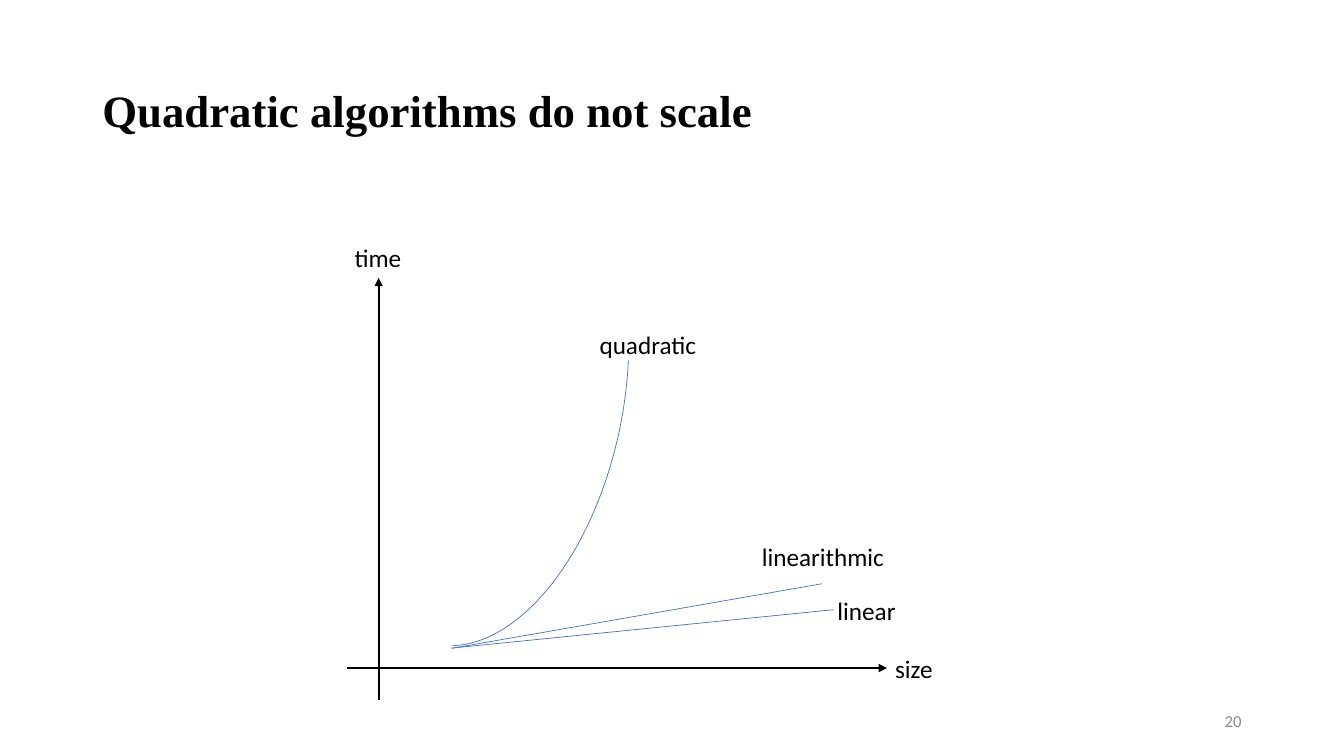
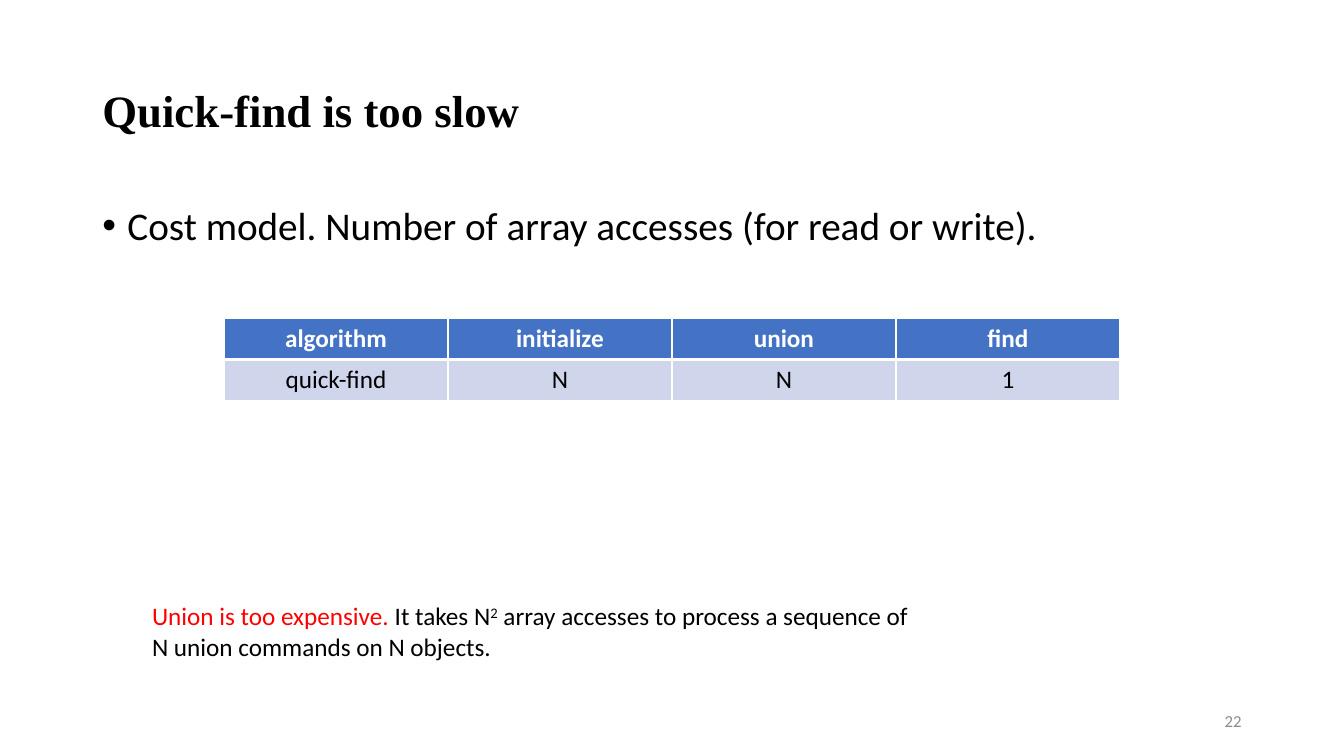
from dataclasses import dataclass

from lxml.etree import SubElement
from pptx import Presentation
from pptx.dml.color import RGBColor
from pptx.enum.shapes import MSO_CONNECTOR, MSO_SHAPE
from pptx.enum.text import MSO_ANCHOR, PP_ALIGN
from pptx.oxml.ns import qn
from pptx.util import Pt


@dataclass(frozen=True)
class Theme:
    black: RGBColor = RGBColor(0x00, 0x00, 0x00)
    white: RGBColor = RGBColor(0xFF, 0xFF, 0xFF)
    blue: RGBColor = RGBColor(0x44, 0x72, 0xC4)
    pale_blue: RGBColor = RGBColor(0xCF, 0xD5, 0xEA)
    red: RGBColor = RGBColor(0xFF, 0x00, 0x00)
    grey: RGBColor = RGBColor(0x8C, 0x8C, 0x8C)
    title_font: str = "Times New Roman"
    body_font: str = "Calibri"
    title_size: int = 32
    body_size: int = 28
    label_size: int = 18
    number_size: int = 12


theme = Theme()


def write(frame, text, size=theme.label_size, font=theme.body_font, color=theme.black,
          bold=False, align=PP_ALIGN.LEFT, anchor=MSO_ANCHOR.TOP, wrap=True,
          spacing=1.0, bullet=False):
    frame.word_wrap = wrap
    frame.vertical_anchor = anchor
    paragraphs = [[(text, {})]] if isinstance(text, str) else text
    for index, runs in enumerate(paragraphs):
        paragraph = frame.add_paragraph() if index else frame.paragraphs[0]
        if bullet:
            properties = paragraph._p.get_or_add_pPr()
            properties.set("marL", str(Pt(18)))
            properties.set("indent", str(Pt(-18)))
            SubElement(properties, qn("a:buFont"), typeface="Arial")
            SubElement(properties, qn("a:buChar"), char="•")
        paragraph.alignment = align
        paragraph.line_spacing = spacing
        for words, style in runs:
            run = paragraph.add_run()
            run.text = words
            run.font.size = Pt(size)
            run.font.name = font
            run.font.bold = bold
            run.font.color.rgb = style.get("color", color)
            if "baseline" in style:
                run._r.get_or_add_rPr().set("baseline", style["baseline"])


def add_box(slide, left, top, width, height):
    return slide.shapes.add_textbox(Pt(left), Pt(top), Pt(width), Pt(height)).text_frame


presentation = Presentation()
presentation.slide_width = Pt(960)
presentation.slide_height = Pt(540)

slides = []
for title, number in [("Quadratic algorithms do not scale", "20"),
                      ("Quick-find is too slow", "22")]:
    slide = presentation.slides.add_slide(presentation.slide_layouts[6])
    write(add_box(slide, 66, 28.8, 828, 104.4), title, size=theme.title_size,
          font=theme.title_font, bold=True, anchor=MSO_ANCHOR.MIDDLE, spacing=0.9)
    write(add_box(slide, 678, 500.5, 216, 28.8), number, size=theme.number_size,
          color=theme.grey, align=PP_ALIGN.RIGHT, anchor=MSO_ANCHOR.MIDDLE)
    slides.append(slide)
growth_slide, cost_slide = slides

for start_x, start_y, end_x, end_y, color, width, arrow in [
    (247.7, 477.2, 633.6, 477.2, theme.black, 1.5, True),
    (270.5, 499.7, 270.5, 198.5, theme.black, 1.5, True),
    (322, 463, 595.5, 435.5, theme.blue, 0.5, False),
    (323.3, 463, 587, 417, theme.blue, 0.5, False),
]:
    line = growth_slide.shapes.add_connector(
        MSO_CONNECTOR.STRAIGHT, Pt(start_x), Pt(start_y), Pt(end_x), Pt(end_y))
    line.line.color.rgb = color
    line.line.width = Pt(width)
    if arrow:
        SubElement(line.line._get_or_add_ln(), qn("a:tailEnd"), type="triangle")
    SubElement(line._element.spPr, qn("a:effectLst"))

quadratic_curve = growth_slide.shapes.add_shape(
    MSO_SHAPE.ARC, Pt(167), Pt(185.8), Pt(357.1), Pt(198.7))
quadratic_curve.adjustments[0] = 146.15
quadratic_curve.adjustments[1] = 213.6
quadratic_curve.rotation = 101.4
quadratic_curve.shadow.inherit = False
quadratic_curve.fill.background()
quadratic_curve.line.color.rgb = theme.blue
quadratic_curve.line.width = Pt(0.5)

for label, left, top, width in [
    ("time", 246.2, 169.2, 48.2),
    ("size", 632.2, 463, 41.8),
    ("quadratic", 421.2, 231.8, 84.2),
    ("linearithmic", 537.1, 383, 103),
    ("linear", 591.1, 421.9, 56.9),
]:
    write(add_box(growth_slide, left, top, width, 28.8), label, wrap=False)

write(add_box(cost_slide, 66, 144, 828, 342.7),
      "Cost model. Number of array accesses (for read or write).",
      size=theme.body_size, spacing=0.9, bullet=True)

rows = [["algorithm", "initialize", "union", "find"],
        ["quick-find", "N", "N", "1"]]
table = cost_slide.shapes.add_table(
    len(rows), len(rows[0]), Pt(160), Pt(227.5), Pt(640), Pt(58.4)).table
for row_index, values in enumerate(rows):
    header = row_index == 0
    borders = {"L": 1, "R": 1, "T": 1 if header else 3, "B": 3 if header else 1}
    for column_index, value in enumerate(values):
        cell = table.cell(row_index, column_index)
        properties = cell._tc.get_or_add_tcPr()
        for side, width in borders.items():
            border = SubElement(properties, qn(f"a:ln{side}"), w=str(Pt(width)))
            fill = SubElement(border, qn("a:solidFill"))
            SubElement(fill, qn("a:srgbClr"), val=str(theme.white))
        cell.fill.solid()
        cell.fill.fore_color.rgb = theme.blue if header else theme.pale_blue
        write(cell.text_frame, value, bold=header, align=PP_ALIGN.CENTER,
              color=theme.white if header else theme.black)

write(add_box(cost_slide, 101.5, 425.5, 709.2, 51), [
    [("Union is too expensive. ", {"color": theme.red}),
     ("It takes N", {}),
     ("2", {"baseline": "30000"}),
     (" array accesses to process a sequence of", {})],
    [("N union commands on N objects.", {})],
])

presentation.save("out.pptx")
